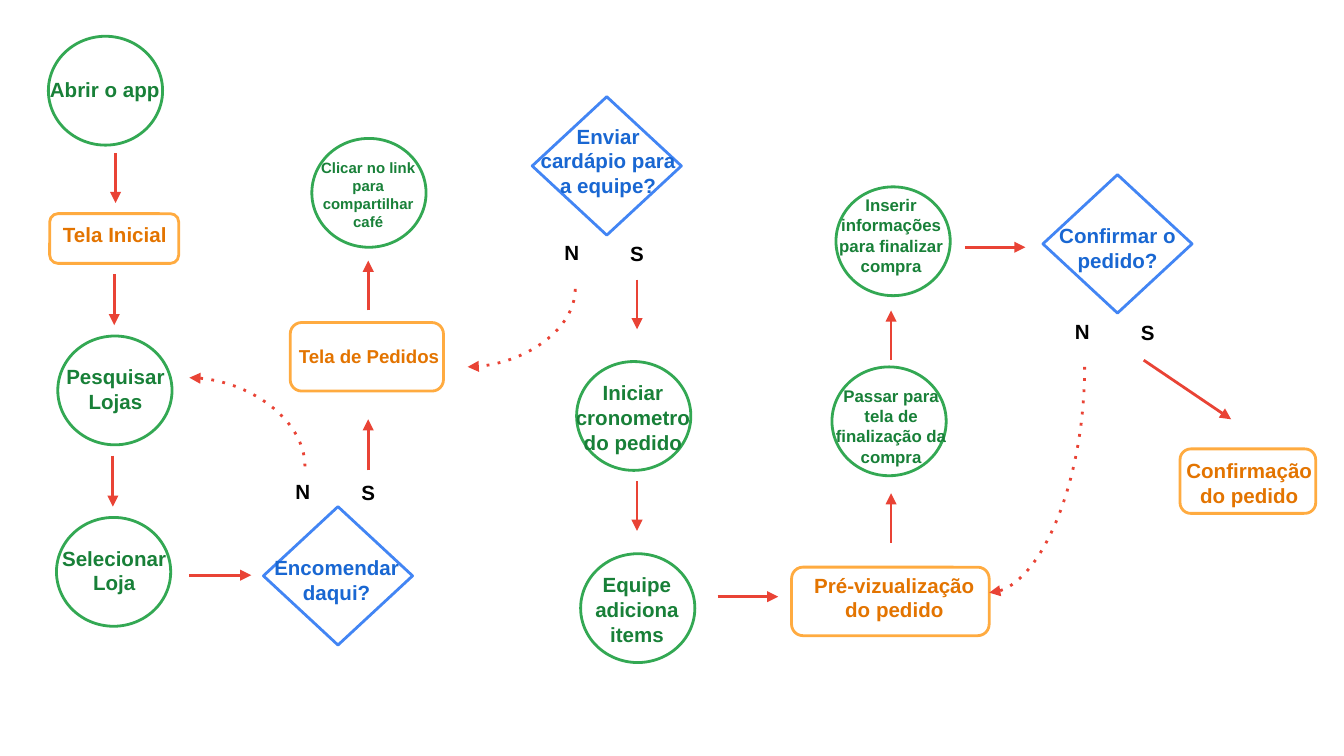
"""Draw the flowchart of a group coffee order."""
import lxml.etree
import pptx
import pptx.dml.color
import pptx.enum.shapes
import pptx.enum.text
import pptx.oxml.ns
import pptx.util

SHAPES = pptx.enum.shapes.MSO_SHAPE
CONNECTORS = pptx.enum.shapes.MSO_CONNECTOR
ALIGN = pptx.enum.text.PP_ALIGN
GREEN, ORANGE, BLUE, RED = "33A853", "FFAB40", "4285F4", "E94335"
DARK_GREEN, DARK_ORANGE, DARK_BLUE, BLACK = "188038", "E37400", "1967D2", "000000"

ACTIONS = [
    ((36, 27), (23, 48, 110, 39), "Abrir o app", 11),
    ((43, 250), (31, 261, 110, 39), "Pesquisar Lojas", 11),
    ((42, 385), (30, 396, 110, 39), "Selecionar Loja", 11),
    ((232, 103), (219, 108, 110, 39), "Clicar no link para compartilhar café", 8),
    ((429, 269), (416, 273, 110, 46), "Iniciar cronometro do pedido", 11),
    ((432, 412), (419, 416, 110, 46), "Equipe adiciona items", 11),
    ((619, 273), (610, 277, 106, 51), "Passar para tela de finalização da compra", 9),
    ((622, 139), (608, 135, 110, 46), "Inserir informações para finalizar compra", 9),
]
SCREENS = [
    ((37, 159, 96, 37), (23, 156, 125, 56), "Tela Inicial", 11),
    ((216, 240, 114, 51), (201, 248, 147, 51), "Tela de Pedidos", 10),
    ((589, 422, 147, 51), (594, 416, 143, 51), "Pré-vizualização do pedido", 11),
    ((878, 334, 101, 48), (864, 331, 131, 72), "Confirmação do pedido", 11),
]
DECISIONS = [
    ((196, 377), (188, 403, 125, 51), "Encomendar daqui?", (210, 347)),
    ((396, 72), (390, 82, 125, 73), "Enviar cardápio para a equipe?", (410, 169)),
    ((776, 130), (769, 156, 125, 51), "Confirmar o pedido?", (790, 228)),
]
ARROWS = [
    (86, 114, 86, 151), (85, 204, 85, 242), (84, 339, 84, 377),
    (141, 428, 187, 428), (274, 350, 274, 312), (274, 231, 274, 194),
    (474, 208, 474, 245), (474, 358, 474, 395), (534, 444, 579, 444),
    (663, 404, 663, 367), (663, 268, 663, 231), (718, 184, 763, 184),
    (851, 268, 916, 312),
]
RETURNS = [(227, 347, 141, 281), (428, 215, 348, 273), (807, 273, 736, 441)]


def px(length):
    """Turn px, 100 to the inch, into EMU."""
    return pptx.util.Emu(round(length * 9144))


def rgb(value):
    """Turn a hex string into a colour."""
    return pptx.dml.color.RGBColor.from_string(value)


def write(frame, text, size=11, color=BLACK, align=ALIGN.CENTER):
    """Put formatted bold text in a text frame."""
    frame.word_wrap = True
    paragraph = frame.paragraphs[0]
    paragraph.alignment = align
    run = paragraph.add_run()
    run.text = text
    run.font.name = "Arial"
    run.font.size = pptx.util.Pt(size)
    run.font.bold = True
    run.font.color.rgb = rgb(color)


def add_xml(parent, tag, **attributes):
    """Append a DrawingML element to a parent."""
    return lxml.etree.SubElement(parent, pptx.oxml.ns.qn(tag), attributes)


class Flowchart:
    """Hold the slide and the style of the flowchart."""

    def __init__(self, slide, line_width=1.5, inset=10):
        """Keep the slide, the line width and the text inset."""
        self.slide = slide
        self.line_width = pptx.util.Pt(line_width)
        self.inset = px(inset)

    def outline(self, kind, box, color):
        """Draw an unfilled node."""
        node = self.slide.shapes.add_shape(kind, *map(px, box))
        node.shadow.inherit = False
        node.fill.background()
        node.line.color.rgb = rgb(color)
        node.line.width = self.line_width

    def label(self, box, text, **style):
        """Draw a text box."""
        frame = self.slide.shapes.add_textbox(*map(px, box)).text_frame
        frame.margin_left = frame.margin_right = self.inset
        frame.margin_top = frame.margin_bottom = self.inset
        write(frame, text, **style)

    def action(self, corner, text_box, text, size):
        """Draw a circle for something the user does."""
        self.outline(SHAPES.OVAL, (*corner, 85, 81), GREEN)
        self.label(text_box, text, size=size, color=DARK_GREEN)

    def screen(self, box, text_box, text, size):
        """Draw a rounded box for a screen of the app."""
        self.outline(SHAPES.ROUNDED_RECTANGLE, box, ORANGE)
        self.label(text_box, text, size=size, color=DARK_ORANGE)

    def decision(self, corner, text_box, text, no_corner):
        """Draw a diamond with its no and yes exits."""
        self.outline(SHAPES.DIAMOND, (*corner, 111, 103), BLUE)
        self.label(text_box, text, color=DARK_BLUE)
        left, top = no_corner
        self.label((left, top, 35, 46), "N", align=ALIGN.LEFT)
        self.label((left + 49, top + 1, 35, 27), "S", align=ALIGN.LEFT)

    def arrow(self, *ends, kind=CONNECTORS.STRAIGHT, dash="solid"):
        """Draw a red arrow and return it."""
        link = self.slide.shapes.add_connector(kind, *map(px, ends))
        link.line.color.rgb = rgb(RED)
        link.line.width = self.line_width
        stroke = link.line._get_or_add_ln()
        add_xml(stroke, "a:prstDash", val=dash)
        add_xml(stroke, "a:tailEnd", type="triangle", w="med", len="med")
        add_xml(link._element.spPr, "a:effectLst")
        return link

    def return_arrow(self, x1, y1, x2, y2):
        """Draw a dotted quarter curve that leaves vertically."""
        x, y = (x1 + x2) / 2, (y1 + y2) / 2
        half_width, half_height = (y2 - y1) / 2, abs(x2 - x1) / 2
        curve = self.arrow(x - half_width, y - half_height,
                           x + half_width, y + half_height,
                           kind=CONNECTORS.CURVE, dash="dot")
        properties = curve._element.spPr
        properties.find(pptx.oxml.ns.qn("a:xfrm")).set("rot", "5400000")
        properties.find(pptx.oxml.ns.qn("a:prstGeom")).set("prst", "curvedConnector2")


def main():
    """Build and save the presentation."""
    deck = pptx.Presentation()
    deck.slide_width = px(1000)
    deck.slide_height = deck.slide_width * 9 // 16
    chart = Flowchart(deck.slides.add_slide(deck.slide_layouts[6]))
    for draw, rows in (
        (chart.action, ACTIONS),
        (chart.screen, SCREENS),
        (chart.decision, DECISIONS),
        (chart.arrow, ARROWS),
        (chart.return_arrow, RETURNS),
    ):
        for row in rows:
            draw(*row)
    deck.save("out.pptx")


if __name__ == "__main__":
    main()
